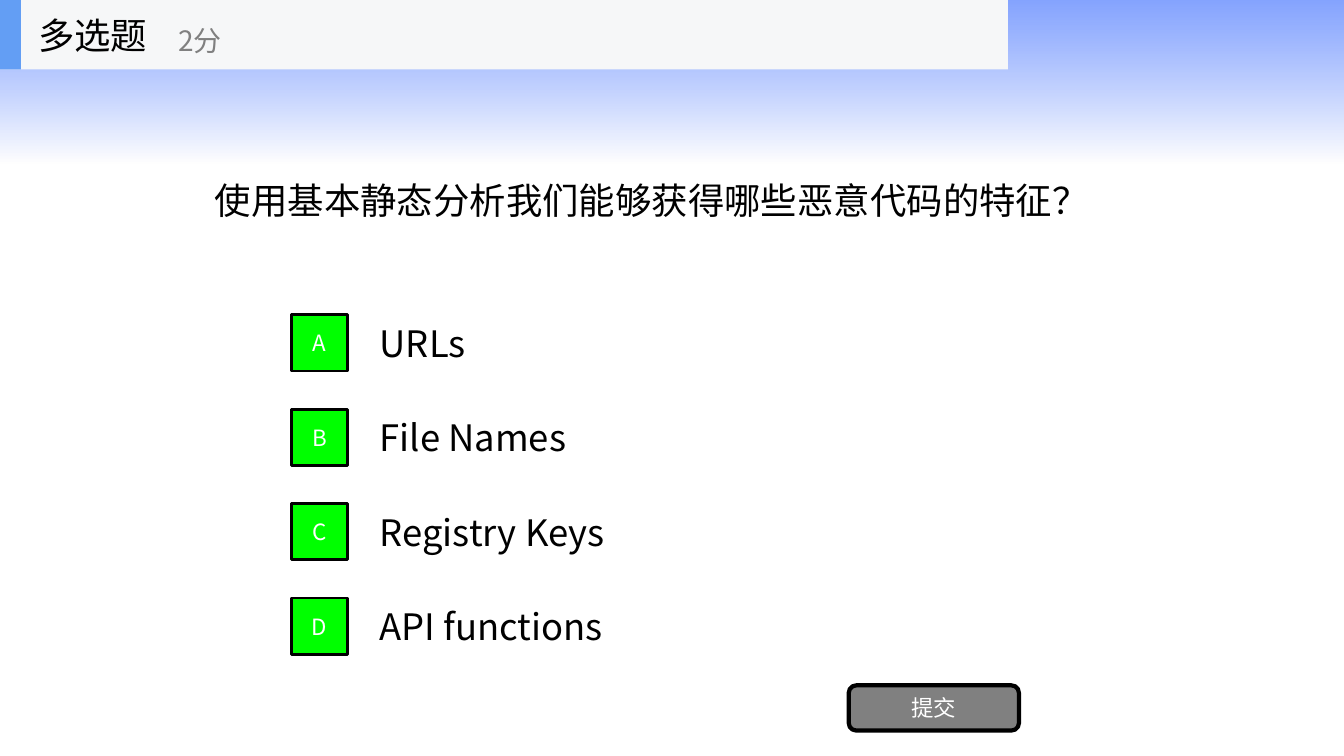
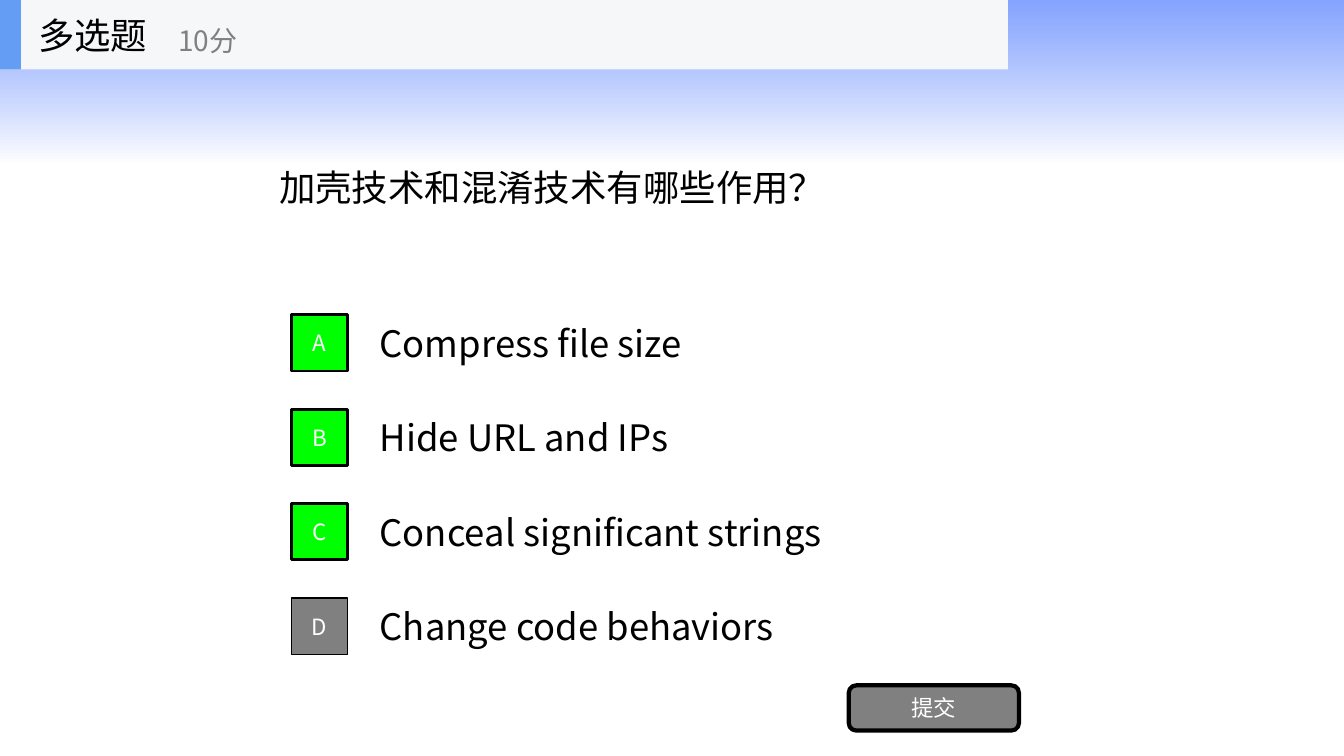
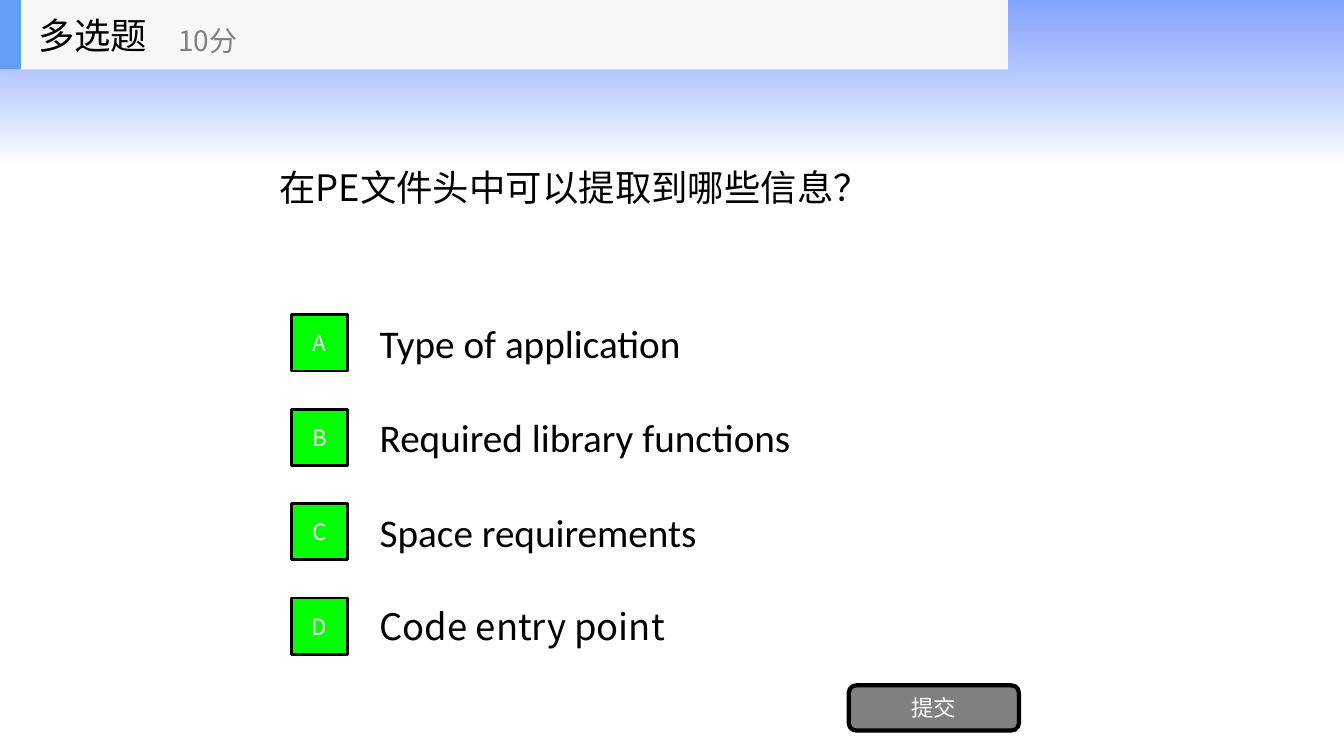
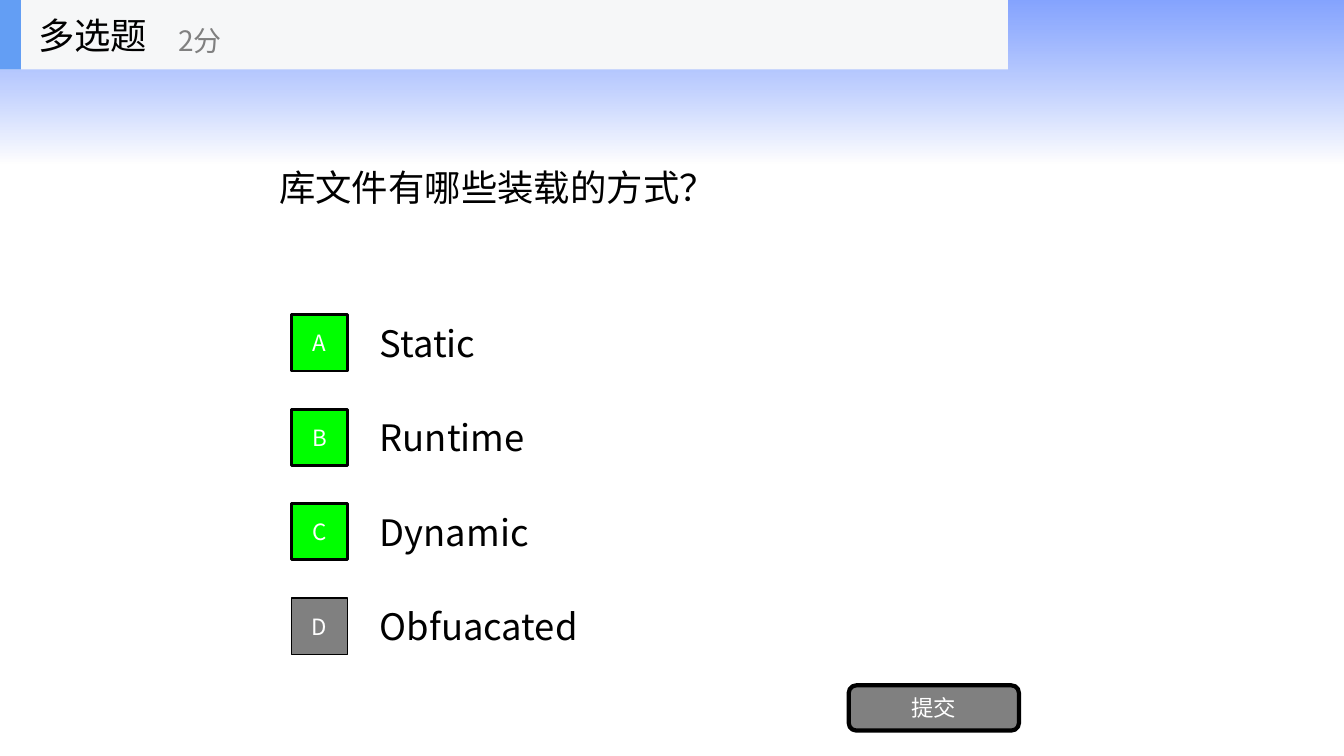
import pptx
import pptx.util
import pptx.dml.color
import pptx.enum.shapes
import pptx.enum.text
import pptx.oxml
import pptx.oxml.ns
from dataclasses import dataclass
from lxml import etree

Cm, Pt = pptx.util.Cm, pptx.util.Pt
RGB = pptx.dml.color.RGBColor.from_string
KIND = pptx.enum.shapes.MSO_SHAPE
ALIGN = pptx.enum.text.PP_ALIGN
qn = pptx.oxml.ns.qn


@dataclass(frozen=True)
class Theme:
    font: str = "Noto Sans CJK SC"
    latin: str = "Calibri"
    ink: str = "000000"
    white: str = "FFFFFF"
    grey: str = "808080"
    right: str = "00FF00"
    bar: str = "F6F7F8"
    mark: str = "639EF4"
    sky: str = "3366FF"
    body: int = 26
    large: int = 28
    score: int = 20
    small: int = 16


T = Theme()

# Content: each answer is (text, is right)
WIDE = (5.16, 2.06, 22.38, 5.94)
NEAR = (6.78, 1.75, 20.32, 5.94)
LABEL, SUBMIT = "多选题", "提交"
ALT = dict(font=T.latin, size=T.large)
QUIZ = [
    dict(ask="使用基本静态分析我们能够获得哪些恶意代码的特征？", box=WIDE, score="2分",
         answers=[("URLs", True), ("File Names", True),
                  ("Registry Keys", True), ("API functions", True)]),
    dict(ask="加壳技术和混淆技术有哪些作用？", box=NEAR, score="10分",
         answers=[("Compress file size", True), ("Hide URL and IPs", True),
                  ("Conceal significant strings", True),
                  ("Change code behaviors", False)]),
    dict(ask="在PE文件头中可以提取到哪些信息？", box=NEAR, score="10分",
         answers=[("Type of application", True, ALT),
                  ("Required library functions", True, ALT),
                  ("Space requirements", True, ALT),
                  ("Code entry point", True)]),
    dict(ask="库文件有哪些装载的方式？", box=NEAR, score="2分",
         answers=[("Static", True), ("Runtime", True),
                  ("Dynamic", True), ("Obfuacated", False)]),
]

# Answer grid, in cm
TOP, STEP, ROW, KEY = 7.75, 2.38, 1.78, 1.42
KEY_X, TEXT_X, TEXT_W = 7.34, 9.32, 17.78
BAR_H = 1.75


def write(shape, text, size=T.body, color=T.ink, font=T.font, align=ALIGN.LEFT):
    frame = shape.text_frame
    frame.word_wrap = True
    frame.auto_size = pptx.enum.text.MSO_AUTO_SIZE.NONE
    frame.vertical_anchor = pptx.enum.text.MSO_ANCHOR.MIDDLE
    para = frame.paragraphs[0]
    para.alignment = align
    run = para.add_run()
    run.text = text
    run.font.size, run.font.name = Pt(size), font
    run.font.color.rgb = RGB(color)
    # East Asian text needs its own font entry
    for latin in shape.element.findall(".//" + qn("a:latin")):
        east = etree.Element(qn("a:ea"), typeface=font)
        latin.addnext(east)


def label(shapes, box, text, **style):
    write(shapes.add_textbox(*map(Cm, box)), text, **style)


def block(shapes, box, fill=None, line=0, kind=KIND.RECTANGLE, text=None):
    shape = shapes.add_shape(kind, *map(Cm, box))
    shape.shadow.inherit = False
    if fill:
        shape.fill.solid()
        shape.fill.fore_color.rgb = RGB(fill)
    if line:
        shape.line.color.rgb = RGB(T.ink)
        shape.line.width = Pt(line)
    else:
        shape.line.fill.background()
    if text:
        write(shape, text, size=T.small, color=T.white, align=ALIGN.CENTER)
    return shape


def add_band(slide):
    """Fade at the top, moved to the layout so that all slides share it."""
    band = block(slide.shapes, (0, 0, 33.87, 4.11))
    band.fill.gradient()
    band.fill.gradient_angle = 270
    stops = ((0, T.sky, 60), (1, T.white, 70))
    for stop, (place, color, _) in zip(band.fill.gradient_stops, stops):
        stop.position, stop.color.rgb = place, RGB(color)
    tints = band.element.findall(".//" + qn("a:srgbClr"))
    for tint, (_, _, alpha) in zip(tints, stops):
        etree.SubElement(tint, qn("a:alpha"), val=str(alpha * 1000))
    slide.slide_layout.shapes.element.insert(2, band.element)


def add_head(slide, score):
    parts = slide.shapes.add_group_shape().shapes
    block(parts, (0, 0, 25.4, BAR_H), T.bar)
    block(parts, (0, 0, 0.53, BAR_H), T.mark)
    label(parts, (0.71, 0, 5.28, BAR_H), LABEL)
    label(parts, (4.24, 0.3, 6.35, 1.42), score, size=T.score, color=T.grey)


def add_quiz(slide, ask, box, score, answers):
    title = slide.shapes.title
    title.left, title.top, title.width, title.height = map(Cm, box)
    write(title, ask)
    for i, (text, right, *style) in enumerate(answers):
        y = TOP + i * STEP
        label(slide.shapes, (TEXT_X, y, TEXT_W, ROW), text,
              **(style[0] if style else {}))
        block(slide.shapes, (KEY_X, y + (ROW - KEY) / 2, KEY, KEY),
              T.right if right else T.grey, 2 if right else 1, text="ABCD"[i])
    block(slide.shapes, (21.39, 17.27, 4.29, 1.14), T.grey, 3,
          KIND.ROUNDED_RECTANGLE, SUBMIT)
    add_head(slide, score)


def main():
    deck = pptx.Presentation()
    deck.slide_width, deck.slide_height = Cm(33.87), Cm(19.05)
    layout = deck.slide_layouts[5]
    for i, quiz in enumerate(QUIZ):
        slide = deck.slides.add_slide(layout)
        if i == 0:
            add_band(slide)
        add_quiz(slide, **quiz)
    deck.save("out.pptx")


if __name__ == "__main__":
    main()
